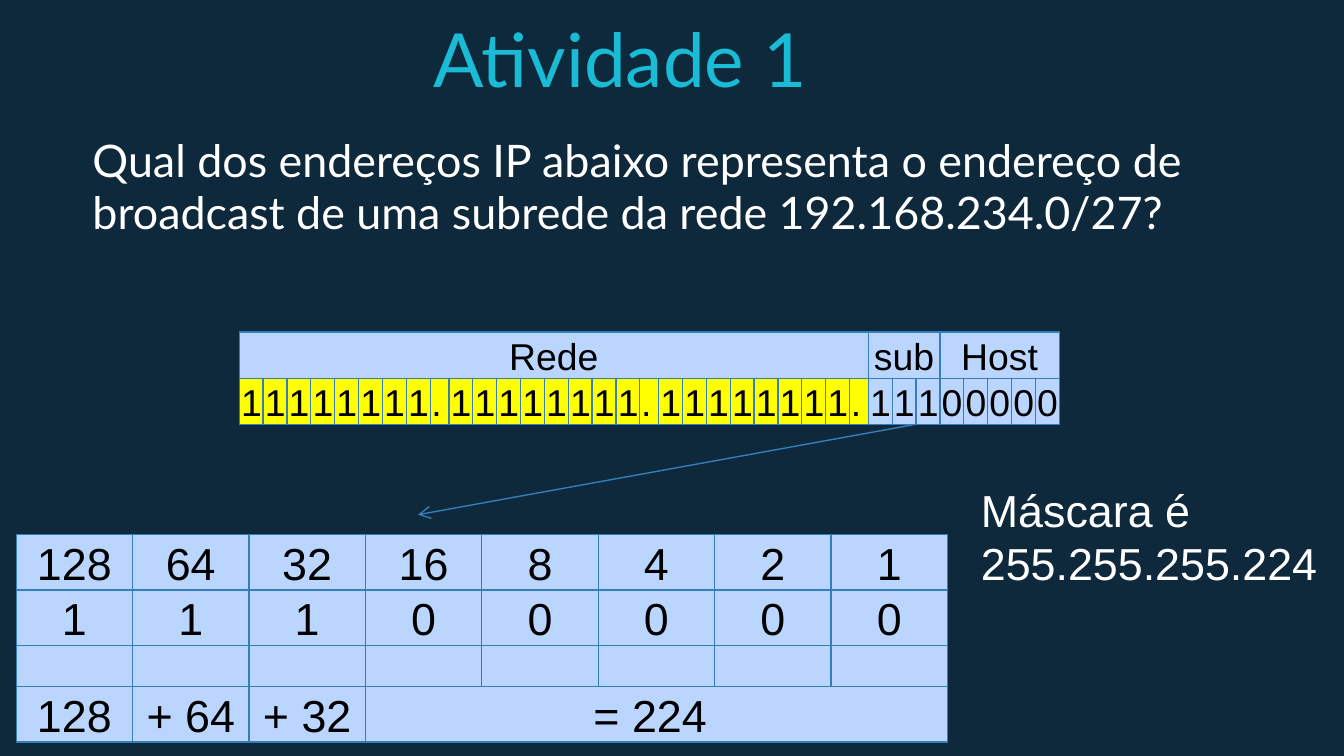
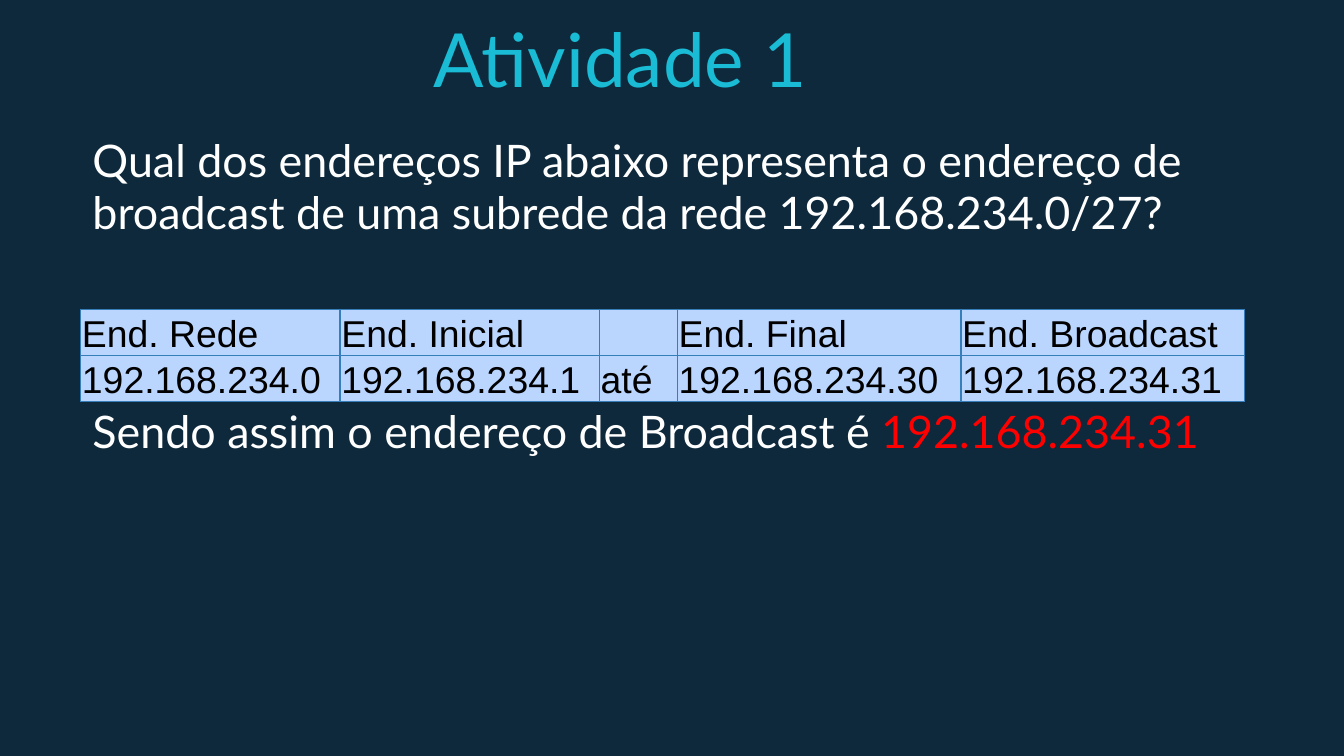
from lxml import etree
from pptx import Presentation
from pptx.dml.color import RGBColor as RGB
from pptx.enum.shapes import MSO_CONNECTOR as LINK
from pptx.enum.text import MSO_ANCHOR as ANCHOR, PP_ALIGN as ALIGN
from pptx.oxml.ns import qn
from pptx.util import Inches, Pt

COLORS = {
    "back": "0E293C", "title": "19BBD5", "white": "FFFFFF", "black": "000000",
    "cell": "BAD6FF", "net": "FFFF00", "line": "367EB9", "answer": "FF0000",
}
TITLE = "Atividade 1"
QUERY = ("Qual dos endereços IP abaixo representa o endereço de "
         "broadcast de uma subrede da rede 192.168.234.0/27?")


def color(name):
    """Return the named colour."""
    return RGB.from_string(COLORS[name])


def write(para, text, font="Arial", size=24, ink="black", align=ALIGN.LEFT,
          space=None, before=None):
    """Add a formatted run to a paragraph."""
    para.alignment = align
    if space:
        para.line_spacing = space
    if before:
        para.space_before = Pt(before)
    run = para.add_run()
    run.text = text
    run.font.name = font
    run.font.size = Pt(size)
    run.font.color.rgb = color(ink)


def frame(slide, box, inset=0.1, anchor=ANCHOR.TOP):
    """Add a wrapping text box and return its text frame."""
    area = slide.shapes.add_textbox(*map(Inches, box)).text_frame
    area.word_wrap = True
    area.vertical_anchor = anchor
    area.margin_left = area.margin_right = Inches(0.1)
    area.margin_top = area.margin_bottom = Inches(inset)
    return area


def heading(slide, box):
    """Place the slide title."""
    area = frame(slide, box, anchor=ANCHOR.BOTTOM)
    write(area.paragraphs[0], TITLE, font="Lato", size=40, ink="title",
          align=ALIGN.CENTER)


def question(slide, box, reply=()):
    """Place the question and, below it, the parts of the reply."""
    area = frame(slide, box)
    look = {"font": "Lato", "space": 0.95}
    write(area.paragraphs[0], QUERY, ink="white", **look)
    if reply:
        para = area.add_paragraph()
        for text, ink in reply:
            write(para, text, ink=ink, before=90, **look)


def edge(cell):
    """Draw the four borders of a table cell."""
    props = cell._tc.get_or_add_tcPr()
    for side in ("a:lnL", "a:lnR", "a:lnT", "a:lnB"):
        line = etree.SubElement(props, qn(side), w=str(Pt(0.75)))
        fill = etree.SubElement(line, qn("a:solidFill"))
        etree.SubElement(fill, qn("a:srgbClr"), val=COLORS["line"])


def grid(slide, box, cols, rows, size, style):
    """Add a table; None continues the cell on its left."""
    shape = slide.shapes.add_table(len(rows), len(cols), *map(Inches, box))
    table = shape.table
    table.first_row = table.horz_banding = False
    for col, width in zip(table.columns, cols):
        col.width = Inches(width)
    for r, row in enumerate(rows):
        table.rows[r].height = Inches(0.21)
        start = 0
        for c, text in enumerate(row):
            cell = table.cell(r, c)
            align, fill = style(r, c, text)
            cell.vertical_anchor = ANCHOR.BOTTOM
            cell.margin_left = cell.margin_right = cell.margin_top = Inches(0.01)
            cell.margin_bottom = 0
            edge(cell)
            cell.fill.solid()
            cell.fill.fore_color.rgb = color(fill)
            if text is not None:
                write(cell.text_frame.paragraphs[0], text, size=size, align=align)
                start = c
            elif c + 1 == len(row) or row[c + 1] is not None:
                table.cell(r, start).merge(cell)
    shape.height = Inches(box[3])


def bits(slide, box):
    """Place the 32 mask bits under their network, subnet and host labels."""
    net = "11111111." * 3
    mask = net + "11100000"
    dot = 0.14
    bit = (box[2] - mask.count(".") * dot) / (len(mask) - mask.count("."))
    spans = (("Rede", len(net)), ("sub", 3), ("Host", 5))
    head = [cell for name, span in spans for cell in [name] + [None] * (span - 1)]

    def style(r, c, text):
        """Centre the labels and mark the network bits."""
        if r == 0:
            return ALIGN.CENTER, "cell"
        side = ALIGN.LEFT if text == "." else ALIGN.RIGHT
        return side, "net" if c < len(net) else "cell"

    cols = [dot if char == "." else bit for char in mask]
    grid(slide, box, cols, [head, list(mask)], 20, style)


def octet(slide, box):
    """Place the sum of the bit weights in the last octet."""
    rows = [
        [str(2 ** n) for n in range(7, -1, -1)],
        list("11100000"),
        [""] * 8,
        ["128", "+ 64", "+ 32", "= 224 "] + [None] * 4,
    ]
    grid(slide, box, [box[2] / 8] * 8, rows, 24,
         lambda r, c, text: (ALIGN.CENTER, "cell"))


def hosts(slide, box):
    """Place the address range of the first subnet."""
    rows = [
        ["End. Rede", "End. Inicial", "", "End. Final", "End. Broadcast"],
        ["192.168.234.0", "192.168.234.1", "até", "192.168.234.30", "192.168.234.31"],
    ]
    grid(slide, box, [1.93, 1.93, 0.58, 2.11, 2.11], rows, 20,
         lambda r, c, text: (ALIGN.LEFT, "cell"))


def arrow(slide, ends):
    """Draw an arrow between two points."""
    link = slide.shapes.add_connector(LINK.STRAIGHT, *map(Inches, ends))
    link.line.color.rgb = color("line")
    link.line.width = Pt(0.75)
    etree.SubElement(link.line._get_or_add_ln(), qn("a:tailEnd"), type="arrow")
    etree.SubElement(link._element.spPr, qn("a:effectLst"))


def result(slide, box):
    """Place the resulting mask."""
    area = frame(slide, box, inset=0.05)
    write(area.paragraphs[0], "Máscara é 255.255.255.224", ink="white")


def page(deck, width, reply=()):
    """Add a slide with the shared background, title and question."""
    slide = deck.slides.add_slide(deck.slide_layouts[6])
    slide.background.fill.solid()
    slide.background.fill.fore_color.rgb = color("back")
    question(slide, (0.59, 0.92, width, 0.71), reply)
    heading(slide, (1.91, 0.15, 5.41, 0.71))
    return slide


def main():
    """Build and save the deck."""
    deck = Presentation()
    deck.slide_width, deck.slide_height = Inches(10), Inches(10 * 9 / 16)

    slide = page(deck, 8.76)
    bits(slide, (1.78, 2.47, 6.11, 0.69))
    arrow(slide, (6.8, 3.16, 3.11, 3.83))
    octet(slide, (0.12, 3.98, 6.93, 1.64))
    result(slide, (7.2, 3.54, 2.72, 1.14))

    reply = (("Sendo assim o endereço de Broadcast é ", "white"),
             ("192.168.234.31", "answer"))
    slide = page(deck, 9.06, reply)
    hosts(slide, (0.6, 2.3, 8.66, 0.69))
    deck.save("out.pptx")


if __name__ == "__main__":
    main()
